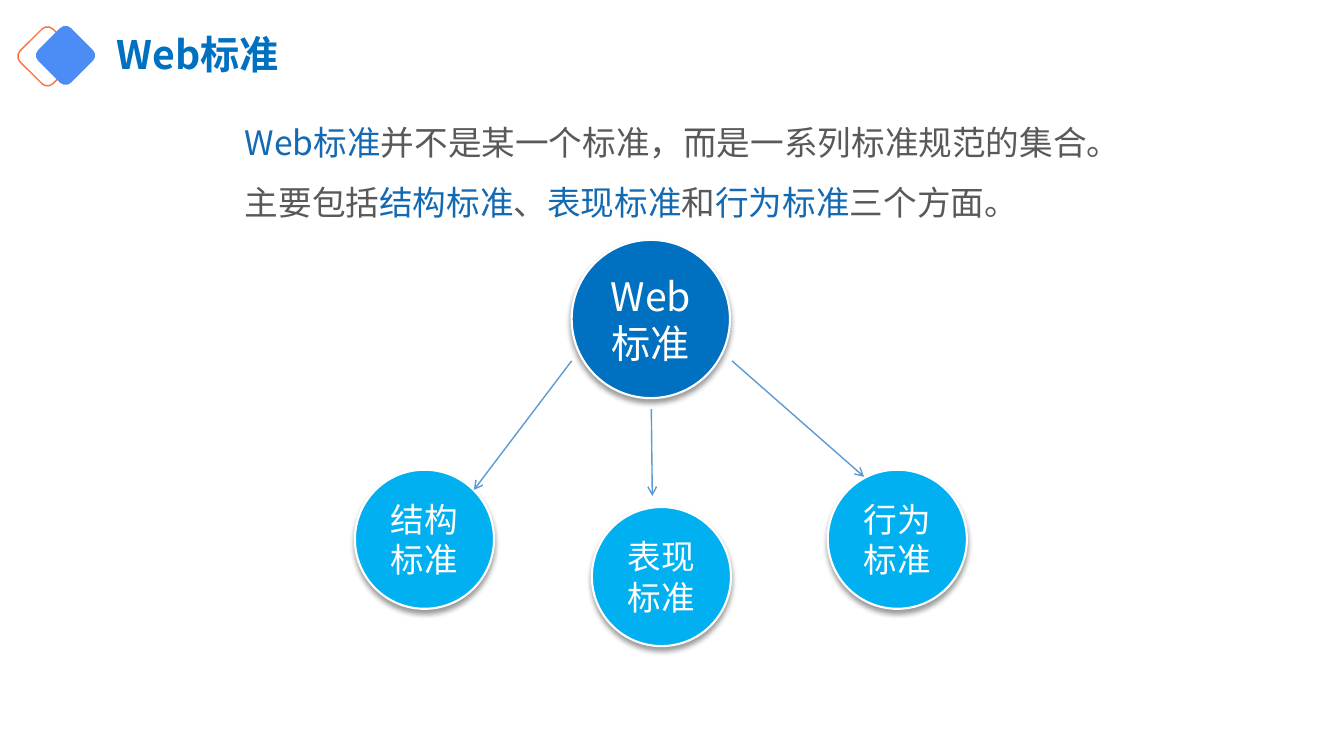
from dataclasses import dataclass

from lxml import etree
from pptx import Presentation
from pptx.dml.color import RGBColor
from pptx.enum.shapes import MSO_CONNECTOR, MSO_SHAPE
from pptx.enum.text import MSO_ANCHOR, MSO_AUTO_SIZE, PP_ALIGN
from pptx.oxml import parse_xml
from pptx.oxml.ns import nsdecls, qn
from pptx.util import Inches, Pt

STRAIGHT = MSO_CONNECTOR.STRAIGHT
ELLIPSE, ROUNDED = MSO_SHAPE.OVAL, MSO_SHAPE.ROUNDED_RECTANGLE
MIDDLE, TOP = MSO_ANCHOR.MIDDLE, MSO_ANCHOR.TOP
LEFT, CENTER, JUSTIFY = PP_ALIGN.LEFT, PP_ALIGN.CENTER, PP_ALIGN.JUSTIFY
GROW = MSO_AUTO_SIZE.SHAPE_TO_FIT_TEXT
NO_FIT = MSO_AUTO_SIZE.NONE


@dataclass(frozen=True)
class Theme:
    font: str = "Noto Sans CJK SC"
    main: str = "0070C0"
    branch: str = "00B0F0"
    accent: str = "1369B2"
    body: str = "595959"
    white: str = "FFFFFF"
    arrow: str = "5B9BD5"
    mark_line: str = "FD703B"
    mark_fill: str = "4C8CF5"
    large: int = 28
    normal: int = 24


class SlideBuilder:
    def __init__(self, slide, theme):
        self.slide = slide
        self.theme = theme

    def set_text(self, frame, paragraphs, size, anchor, bold=False, fit=NO_FIT, **layout):
        """Fill a text frame; each paragraph is a list of (text, colour) spans."""
        frame_format = {"word_wrap": True, "auto_size": fit, "vertical_anchor": anchor}
        for name, value in frame_format.items():
            setattr(frame, name, value)
        for index, spans in enumerate(paragraphs):
            para = frame.add_paragraph() if index else frame.paragraphs[0]
            for name, value in layout.items():
                setattr(para, name, value)
            for text, color in spans:
                span = para.add_run()
                span.text = text
                font_format = {"name": self.theme.font, "size": Pt(size), "bold": bold}
                for name, value in font_format.items():
                    setattr(span.font, name, value)
                span.font.color.rgb = RGBColor.from_string(color)
                east_asian = etree.SubElement(span.font._element, qn("a:ea"))
                east_asian.set("typeface", self.theme.font)

    def title(self, text, left, top, width, height):
        box = self.slide.shapes.title
        frame = {"left": left, "top": top, "width": width, "height": height}
        for name, value in frame.items():
            setattr(box, name, Inches(value))
        self.set_text(box.text_frame, [[(text, self.theme.main)]], self.theme.large,
                      MIDDLE, bold=True, alignment=LEFT, line_spacing=0.9)

    def body(self, paragraphs, left, top, width, height):
        box = self.slide.shapes.add_textbox(*map(Inches, (left, top, width, height)))
        self.set_text(box.text_frame, paragraphs, self.theme.normal, TOP, fit=GROW,
                      alignment=JUSTIFY, line_spacing=1.5)

    def shape(self, kind, left, top, side, fill=None, line=None, line_width=1):
        shape = self.slide.shapes.add_shape(kind, *map(Inches, (left, top, side, side)))
        shape.shadow.inherit = False
        if fill:
            shape.fill.solid()
            shape.fill.fore_color.rgb = RGBColor.from_string(fill)
        else:
            shape.fill.background()
        if line:
            shape.line.color.rgb = RGBColor.from_string(line)
            shape.line.width = Pt(line_width)
        else:
            shape.line.fill.background()
        return shape

    def diamond(self, left, top, **style):
        self.shape(ROUNDED, left, top, 0.46, **style).rotation = 45

    def circle(self, text, left, top, diameter, fill, size):
        circle = self.shape(ELLIPSE, left, top, diameter, fill, self.theme.white, 1.5)
        effects = circle._element.spPr.find(qn("a:effectLst"))
        effects.append(parse_xml(
            f'<a:outerShdw {nsdecls("a")} blurRad="{Pt(4)}" dist="{Pt(3)}" '
            'dir="5400000" rotWithShape="0"><a:srgbClr val="000000">'
            '<a:alpha val="40000"/></a:srgbClr></a:outerShdw>'))
        self.set_text(circle.text_frame, [[(text, self.theme.white)]], size, MIDDLE,
                      alignment=CENTER)

    def arrow(self, start, end):
        arrow = self.slide.shapes.add_connector(STRAIGHT, *map(Inches, start + end))
        arrow.line.color.rgb = RGBColor.from_string(self.theme.arrow)
        arrow.line.width = Pt(1)
        properties = arrow._element.spPr
        etree.SubElement(properties.find(qn("a:ln")), qn("a:tailEnd")).set("type", "arrow")
        etree.SubElement(properties, qn("a:effectLst"))


def main():
    deck = Presentation()
    deck.slide_width, deck.slide_height = Inches(13.33), Inches(7.5)
    theme = Theme()
    page = SlideBuilder(deck.slides.add_slide(deck.slide_layouts[5]), theme)

    page.diamond(0.24, 0.33, line=theme.mark_line)
    page.diamond(0.42, 0.32, fill=theme.mark_fill)
    page.title("Web标准", 1.06, 0.17, 5.13, 0.79)
    page.body([
        [("Web标准", theme.accent),
         ("并不是某一个标准，而是一系列标准规范的集合。", theme.body)],
        [("主要包括", theme.body), ("结构标准", theme.accent), ("、", theme.body),
         ("表现标准", theme.accent), ("和", theme.body),
         ("行为标准", theme.accent), ("三个方面。", theme.body)],
    ], 2.33, 0.96, 9.67, 1.31)

    branches = [
        ("结构标准", (3.52, 4.66), (5.67, 3.58), (4.7, 4.86)),
        ("表现标准", (5.87, 5.03), (6.46, 4.06), (6.47, 4.92)),
        ("行为标准", (8.21, 4.66), (7.26, 3.58), (8.57, 4.73)),
    ]
    page.circle("Web标准", 5.67, 2.38, 1.57, theme.main, theme.large)
    for text, corner, start, end in branches:
        page.circle(text, *corner, 1.38, theme.branch, theme.normal)
        page.arrow(start, end)

    deck.save("out.pptx")


if __name__ == "__main__":
    main()
